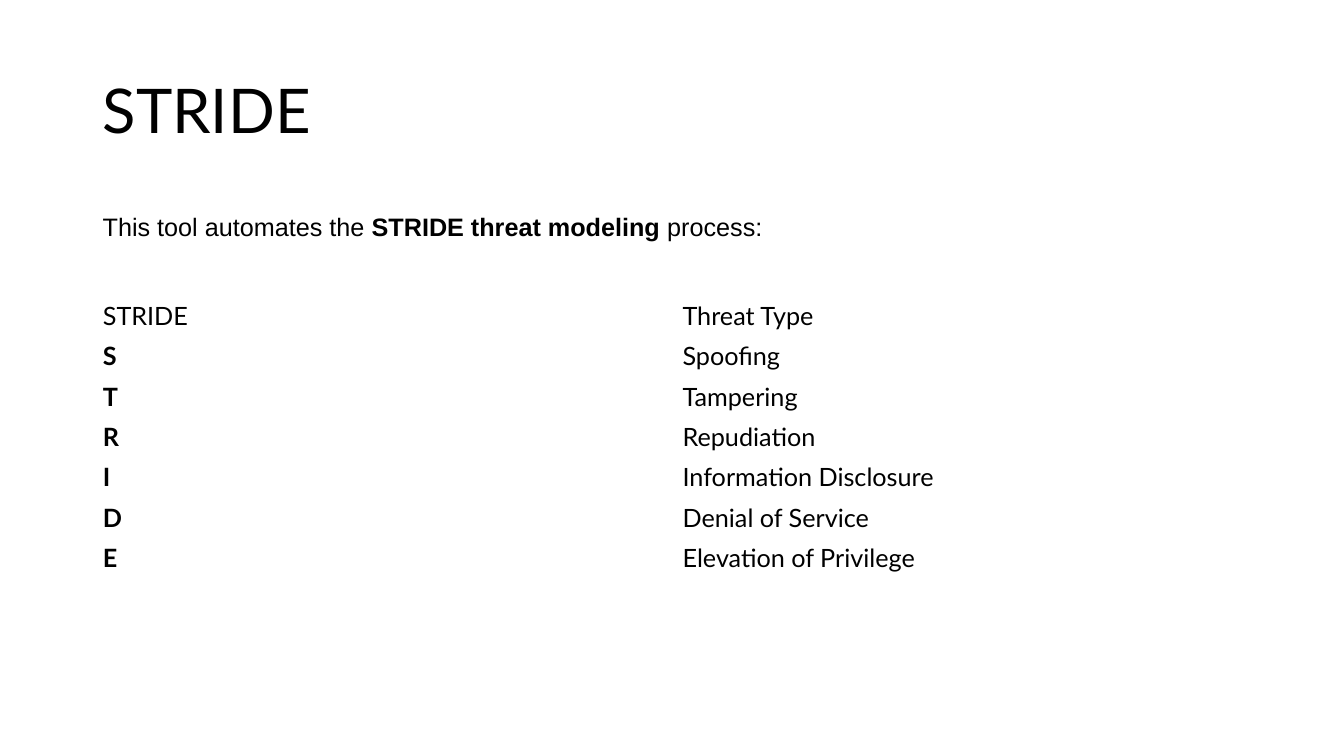
from pptx import Presentation
from pptx.dml.color import RGBColor
from pptx.enum.text import MSO_ANCHOR as Anchor
from pptx.util import Inches, Pt

BLACK = RGBColor(0, 0, 0)
LEFT, WIDTH = 0.92, 11.5
ROW_HEIGHT = 0.4

THREATS = [
    ("STRIDE", "Threat Type"),
    ("S", "Spoofing"),
    ("T", "Tampering"),
    ("R", "Repudiation"),
    ("I", "Information Disclosure"),
    ("D", "Denial of Service"),
    ("E", "Elevation of Privilege"),
]


def add_run(paragraph, text, size=18, font="Lato", bold=False, color=BLACK):
    run = paragraph.add_run()
    run.text = text
    run.font.size = Pt(size)
    run.font.name = font
    run.font.bold = bold
    run.font.color.rgb = color


class SlideBuilder:
    def __init__(self, slide, left, width):
        self.slide = slide
        self.left = Inches(left)
        self.width = Inches(width)

    def text(self, runs, top, height, margins=(0.05, 0.05), line_spacing=None, **style):
        """Add one line of (text, bold) runs; margins are top and bottom."""
        shape = self.slide.shapes.add_textbox(
            self.left, Inches(top), self.width, Inches(height))
        frame = shape.text_frame
        frame.word_wrap = True
        frame.vertical_anchor = Anchor.MIDDLE
        frame.margin_top, frame.margin_bottom = map(Inches, margins)
        paragraph = frame.paragraphs[0]
        paragraph.line_spacing = line_spacing
        for text, bold in runs:
            add_run(paragraph, text, bold=bold, **style)

    def table(self, rows, top, row_height):
        """Add a plain table whose first column is bold below the header."""
        table = self.slide.shapes.add_table(
            len(rows), len(rows[0]), self.left, Inches(top),
            self.width, Inches(row_height * len(rows))).table
        table.first_row = table.horz_banding = False
        for row_index, row in enumerate(rows):
            table.rows[row_index].height = Inches(row_height)
            for column_index, text in enumerate(row):
                cell = table.cell(row_index, column_index)
                cell.fill.background()
                cell.vertical_anchor = Anchor.MIDDLE
                add_run(cell.text_frame.paragraphs[0], text,
                        bold=row_index > 0 and column_index == 0)


def main():
    presentation = Presentation()
    presentation.slide_width = Inches(13.33)
    presentation.slide_height = Inches(7.5)
    slide = presentation.slides.add_slide(presentation.slide_layouts[6])
    builder = SlideBuilder(slide, LEFT, WIDTH)

    # Title
    builder.text([("STRIDE", False)], 0.4, 1.45, line_spacing=0.9, size=44)

    # Threat table
    builder.table(THREATS, 2.93, ROW_HEIGHT)

    # Introduction
    builder.text(
        [("This tool automates the ", False),
         ("STRIDE threat modeling", True),
         (" process:", False)],
        2.14, 0.5, margins=(0, 0.29), font="Arial")

    presentation.save("out.pptx")


if __name__ == "__main__":
    main()
